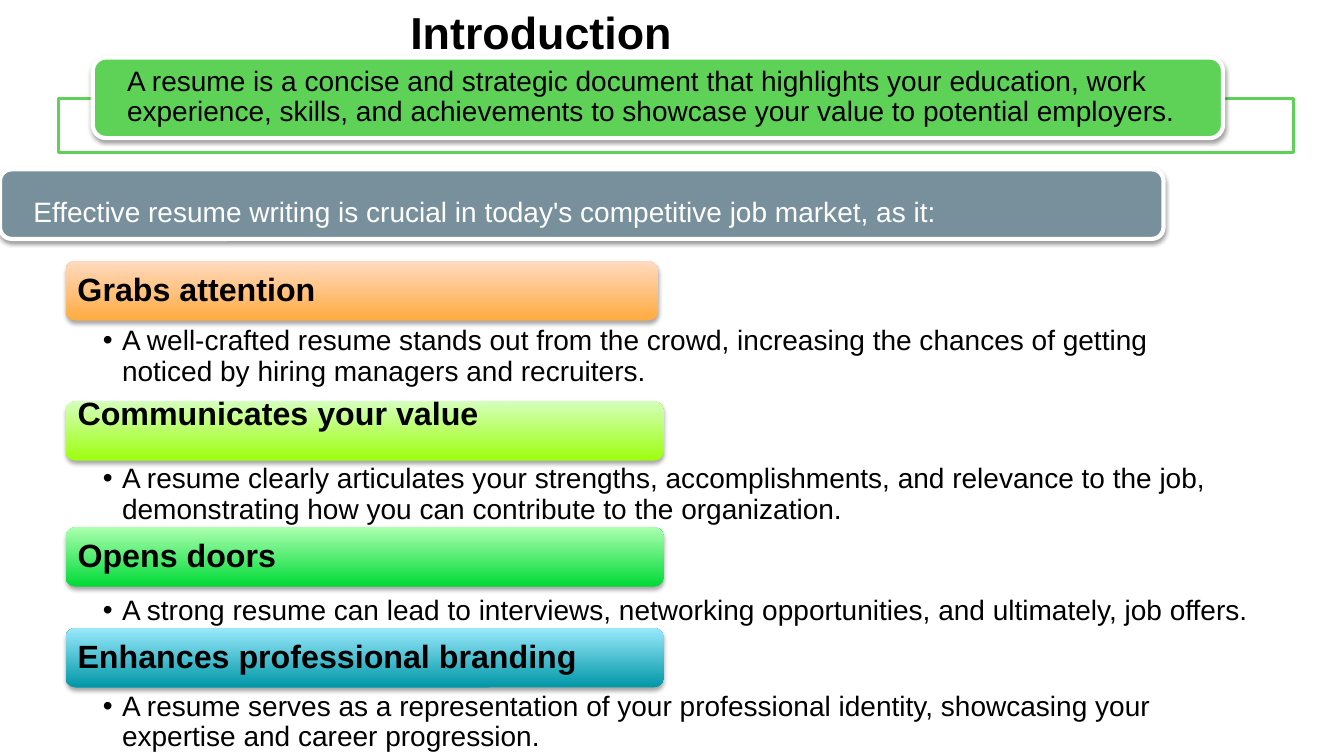
from dataclasses import dataclass

from lxml import etree
from pptx import Presentation
from pptx import util as u
from pptx.dml.color import RGBColor
from pptx.enum import shapes, text
from pptx.oxml.ns import qn


@dataclass(frozen=True)
class Theme:
    font: str = "Arial"
    title: int = 32
    heading: int = 23
    body: int = 20
    ink: str = "000000"
    paper: str = "FFFFFF"
    green: str = "5ED257"
    slate: str = "78909C"


THEME = Theme()
BANNER_INSETS = (0.28, 0, 0.28, 0)
HEADING_INSETS = (0.1, 0.1, 0.1, 0.1)
BULLET_INSETS = (0.37, 0.03, 0.18, 0.03)
ROW_LEFT, BAR_HEIGHT = 4.88, 7.87

# heading, detail, gradient from bottom to top, bar top, bar width,
# heading top, detail top, detail width, detail height
REASONS = [
    ("Grabs attention",
     "A well-crafted resume stands out from the crowd, increasing the chances of getting "
     "noticed by hiring managers and recruiters.",
     ("FFAB40", "FFDAC0"), 34.53, 44.1, 34.93, 42.8, 88.37, 7.87),
    ("Communicates your value",
     "A resume clearly articulates your strengths, accomplishments, and relevance to the job, "
     "demonstrating how you can contribute to the organization.",
     ("9DFF0D", "D5FFBD"), 53.07, 44.5, 51.33, 61.07, 88.37, 7.87),
    ("Opens doors",
     "A strong resume can lead to interviews, networking opportunities, and ultimately, "
     "job offers.",
     ("00DA37", "ABFFAF"), 69.73, 44.5, 70.13, 78.53, 93.17, 5.6),
    ("Enhances professional branding",
     "A resume serves as a representation of your professional identity, showcasing your "
     "expertise and career progression.",
     ("0097A7", "99E9FC"), 83.07, 44.5, 83.47, 91.2, 88.37, 7.87),
]


class Deck:
    """Draws on one slide; every box is (left, top, width, height) in percent of the slide."""

    def __init__(self, theme):
        self.theme = theme
        self.prs = Presentation()
        self.prs.slide_width, self.prs.slide_height = u.Inches(13.33), u.Inches(7.5)
        self.slide = self.prs.slides.add_slide(self.prs.slide_layouts[5])

    def place(self, box):
        sides = (self.prs.slide_width, self.prs.slide_height) * 2
        return [round(share * side / 100) for share, side in zip(box, sides)]

    def set_words(self, frame, words, size, insets, anchor, color=None, bold=False,
                  spacing=None):
        margins = ("margin_left", "margin_top", "margin_right", "margin_bottom")
        frame_format = dict(zip(margins, map(u.Inches, insets)))
        frame_format.update(word_wrap=True, auto_size=text.MSO_AUTO_SIZE.NONE,
                            vertical_anchor=anchor)
        for name, value in frame_format.items():
            setattr(frame, name, value)
        frame.text = words
        paragraph = frame.paragraphs[0]
        paragraph.alignment = text.PP_ALIGN.LEFT
        paragraph.line_spacing = spacing
        font = paragraph.runs[0].font
        for name, value in dict(name=self.theme.font, size=u.Pt(size), bold=bold).items():
            setattr(font, name, value)
        font.color.rgb = RGBColor.from_string(color or self.theme.ink)
        return paragraph

    def title(self, box, words):
        heading = self.slide.shapes.title
        heading.left, heading.top, heading.width, heading.height = self.place(box)
        self.set_words(heading.text_frame, words, self.theme.title, (0.1, 0.05, 0.1, 0.05),
                       text.MSO_ANCHOR.TOP, bold=True)

    def label(self, box, words, size, insets, anchor=text.MSO_ANCHOR.MIDDLE, parent=None,
              **style):
        holder = (parent or self.slide).shapes.add_textbox(*self.place(box))
        return self.set_words(holder.text_frame, words, size, insets, anchor, spacing=0.9,
                              **style)

    def bullet(self, box, words):
        paragraph = self.label(box, words, self.theme.body, BULLET_INSETS, text.MSO_ANCHOR.TOP)
        paragraph.level = 1
        properties = paragraph._p.get_or_add_pPr()
        properties.set("marL", str(u.Inches(0.19)))
        properties.set("indent", str(u.Inches(-0.19)))
        color = etree.SubElement(properties, qn("a:buClr"))
        etree.SubElement(color, qn("a:srgbClr"), val=self.theme.ink)
        etree.SubElement(properties, qn("a:buFont"), typeface=self.theme.font)
        etree.SubElement(properties, qn("a:buChar"), char="•")

    def panel(self, box, fill, line=None, weight=0, rounded=True, parent=None):
        """Add a rectangle; a pair of fill colours makes a gradient from bottom to top."""
        kind = shapes.MSO_SHAPE.ROUNDED_RECTANGLE if rounded else shapes.MSO_SHAPE.RECTANGLE
        shape = (parent or self.slide).shapes.add_shape(kind, *self.place(box))
        shape.shadow.inherit = False
        if isinstance(fill, tuple):
            shape.fill.gradient()
            shape.fill.gradient_angle = 90
            for stop, color in zip(shape.fill.gradient_stops, fill):
                stop.color.rgb = RGBColor.from_string(color)
        else:
            shape.fill.solid()
            shape.fill.fore_color.rgb = RGBColor.from_string(fill)
        if line:
            shape.line.color.rgb = RGBColor.from_string(line)
            shape.line.width = u.Pt(weight)
        else:
            shape.line.fill.background()
        return shape

    def shade(self, shape, opacity, distance):
        effects = shape._element.spPr.find(qn("a:effectLst"))
        shadow = etree.SubElement(effects, qn("a:outerShdw"), blurRad=str(u.Pt(3.1)),
                                  dist=str(u.Pt(distance)), dir="5400000", rotWithShape="0")
        color = etree.SubElement(shadow, qn("a:srgbClr"), val=self.theme.ink)
        etree.SubElement(color, qn("a:alpha"), val=str(opacity * 1000))

    def frame(self, box, line):
        shape = self.panel(box, self.theme.paper, line, 2, rounded=False)
        color = shape._element.spPr.find(qn("a:solidFill"))[0]
        etree.SubElement(color, qn("a:alpha"), val="90000")

    def banner(self, box, words_box, words, fill, color):
        group = self.slide.shapes.add_group_shape()
        self.shade(self.panel(box, fill, self.theme.paper, 3, parent=group), 38, 1.6)
        self.label(words_box, words, self.theme.body, BANNER_INSETS, parent=group, color=color)

    def heading(self, box, words_top, words, gradient):
        left, _, width, _ = box
        group = self.slide.shapes.add_group_shape()
        self.shade(self.panel(box, gradient, parent=group), 35, 1.8)
        self.label((left + 0.15, words_top, width - 0.2, 7.07), words, self.theme.heading,
                   HEADING_INSETS, parent=group, bold=True)


def main():
    deck = Deck(THEME)
    deck.title((29.78, 0, 43.96, 6.67), "Introduction")
    deck.frame((4.35, 13.07, 91.9, 7.07), THEME.green)
    deck.banner((6.9, 7.6, 84.1, 10.67), (7.35, 8.13, 83.35, 9.6),
                "A resume is a concise and strategic document that highlights your education, "
                "work experience, skills, and achievements to showcase your value to potential "
                "employers.", THEME.green, THEME.ink)
    deck.banner((0, 22.4, 86.57, 9.2), (0.38, 24.13, 85.82, 8.27),
                "Effective resume writing is crucial in today's competitive job market, as it:",
                THEME.slate, THEME.paper)
    for (heading, detail, gradient, bar_top, bar_width,
         heading_top, detail_top, detail_width, detail_height) in REASONS:
        deck.heading((ROW_LEFT, bar_top, bar_width, BAR_HEIGHT), heading_top, heading, gradient)
        deck.bullet((ROW_LEFT, detail_top, detail_width, detail_height), detail)
    deck.prs.save("out.pptx")


if __name__ == "__main__":
    main()
